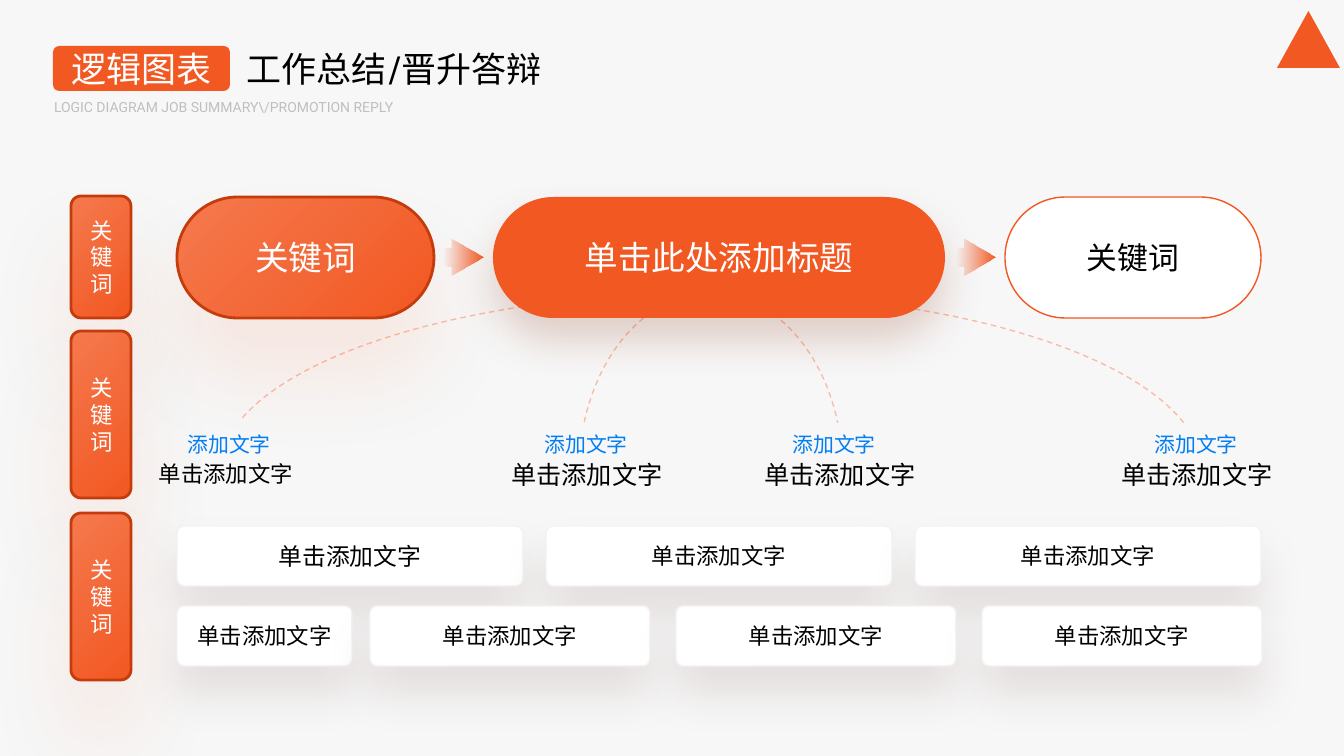
from lxml import etree
from pptx import Presentation
from pptx.dml.color import RGBColor
from pptx.enum.dml import MSO_LINE
from pptx.enum.shapes import MSO_SHAPE as SHAPE
from pptx.enum.text import MSO_ANCHOR as ANCHOR, PP_ALIGN as ALIGN
from pptx.oxml.ns import qn
from pptx.util import Emu, Pt

ORANGE, PEACH, RIM, ARC = "F25822", "F5794E", "C43C0C", "FABCA7"
WHITE, BLACK, BLUE, GREY = "FFFFFF", "000000", "037EF3", "BFBFBF"
CARD_EDGE, BACKGROUND = "F2F2F2", "F7F7F7"
EMU_PER_PX = 914400 / 100.8

# colour, opacity %, blur pt, distance pt
GLOW = (ORANGE, 10, 60, 41)
PILL_SHADOW = ("822808", 20, 30, 16)
CARD_SHADOW = ("450707", 10, 32, 20)


def px(length):
    return Emu(round(length * EMU_PER_PX))


def rgb(colour):
    return RGBColor.from_string(colour)


def add_alpha(colour_node, percent):
    etree.SubElement(colour_node, qn("a:alpha"), val=str(percent * 1000))


class SlideBuilder:
    font = "Karla"

    def __init__(self, slide):
        self.slide = slide
        background = slide.background.fill
        background.solid()
        background.fore_color.rgb = rgb(BACKGROUND)

    def shape(self, kind, box, fill=None, line=None, line_width=1,
              adjust=(), shadow=None):
        shape = self.slide.shapes.add_shape(kind, *map(px, box))
        for index, value in enumerate(adjust):
            shape.adjustments[index] = value
        if fill:
            shape.fill.solid()
            shape.fill.fore_color.rgb = rgb(fill)
        else:
            shape.fill.background()
        if line:
            shape.line.color.rgb = rgb(line)
            shape.line.width = Pt(line_width)
        else:
            shape.line.fill.background()
        shape.shadow.inherit = False
        if shadow:
            self.cast_shadow(shape, *shadow)
        return shape

    def cast_shadow(self, shape, colour, opacity, blur, distance):
        effects = shape._element.spPr.find(qn("a:effectLst"))
        outer = etree.SubElement(
            effects, qn("a:outerShdw"), blurRad=str(Pt(blur)),
            dist=str(Pt(distance)), dir="5400000", algn="t", rotWithShape="0")
        add_alpha(etree.SubElement(outer, qn("a:srgbClr"), val=colour), opacity)

    def gradient(self, shape, start, end, angle):
        """Fill along a clockwise angle in degrees."""
        shape.fill.gradient()
        shape.fill.gradient_angle = (360 - angle) % 360
        for stop, colour in zip(shape.fill.gradient_stops, (start, end)):
            stop.color.rgb = rgb(colour)

    def gradient_button(self, box, label, size, adjust=(), side_margin=0):
        button = self.shape(SHAPE.ROUNDED_RECTANGLE, box, ORANGE, RIM, 2,
                            adjust, GLOW)
        self.gradient(button, PEACH, ORANGE, 45)
        self.label(button, label, size, WHITE, side_margin=side_margin)

    def fading_arrow(self, box):
        arrow = self.shape(SHAPE.RIGHT_ARROW, box, adjust=(0.5, 0.84))
        self.gradient(arrow, ORANGE, ORANGE, 0)
        add_alpha(arrow._element.spPr.find(".//" + qn("a:srgbClr")), 0)

    def dashed_arc(self, box, adjust):
        arc = self.shape(SHAPE.ARC, box, line=ARC, adjust=adjust)
        arc.line.dash_style = MSO_LINE.DASH

    def card(self, box, label, size=16):
        card = self.shape(SHAPE.ROUNDED_RECTANGLE, box, WHITE, CARD_EDGE, 1,
                          (0.12,), CARD_SHADOW)
        self.label(card, label, size, BLACK)

    def text(self, box, label, size, colour, align=ALIGN.CENTER, font=None):
        holder = self.slide.shapes.add_textbox(*map(px, box))
        self.label(holder, label, size, colour, align, font)

    def label(self, shape, label, size, colour, align=ALIGN.CENTER, font=None,
              side_margin=0):
        frame = shape.text_frame
        frame.word_wrap = True
        frame.vertical_anchor = ANCHOR.MIDDLE
        frame.margin_left = frame.margin_right = px(side_margin)
        frame.margin_top = frame.margin_bottom = 0
        frame.text = label
        paragraph = frame.paragraphs[0]
        paragraph.alignment = align
        for run in paragraph.runs:
            run.font.name = font or self.font
            run.font.size = Pt(size)
            run.font.color.rgb = rgb(colour)
            etree.SubElement(run._r.rPr, qn("a:ea"),
                             typeface=font or self.font)


def add_header(page):
    page.shape(SHAPE.ISOSCELES_TRIANGLE, (1277, 11, 63, 57), ORANGE)
    page.text((54, 98, 488, 17), "LOGIC DIAGRAM JOB SUMMARY\\/PROMOTION REPLY",
              10, GREY, ALIGN.LEFT, "Roboto")
    badge = page.shape(SHAPE.ROUNDED_RECTANGLE, (53, 46, 177, 45), ORANGE,
                       adjust=(0.14,))
    page.label(badge, "逻辑图表", 25, WHITE)
    page.text((247, 43, 320, 52), "工作总结/晋升答辩", 25, BLACK, ALIGN.LEFT)


def add_side_labels(page):
    for top, height in ((196, 122), (331, 167), (513, 167)):
        page.gradient_button((71, top, 60, height), "关键词", 16,
                             side_margin=17)


def add_flow(page):
    top, height, rounded = 197, 121, (0.5,)
    page.gradient_button((177, top, 257, height), "关键词", 24, rounded)
    topic = page.shape(SHAPE.ROUNDED_RECTANGLE, (493, top, 452, height),
                       ORANGE, adjust=rounded, shadow=PILL_SHADOW)
    page.label(topic, "单击此处添加标题", 24, WHITE)
    outcome = page.shape(SHAPE.ROUNDED_RECTANGLE, (1005, top, 256, height),
                         WHITE, ORANGE, adjust=rounded)
    page.label(outcome, "关键词", 22, BLACK)
    for left in (444, 956):
        page.fading_arrow((left, 239, 39, 37))


def add_branches(page):
    # heading centre, detail centre, detail size
    for heading, detail, size in ((229, 226, 16), (586, 587, 18),
                                  (834, 840, 18), (1196, 1197, 18)):
        page.text((heading - 52, 426, 104, 36), "添加文字", 14.9, BLUE)
        page.text((detail - 86, 455, 172, 38), "单击添加文字", size, BLACK)


def add_cards(page):
    label, height = "单击添加文字", 60
    for column in range(3):
        page.card((177 + 369 * column, 526, 346, height), label,
                  16 if column else 17)
    page.card((177, 606, 175, height), label)
    for column in range(3):
        page.card((370 + 306 * column, 606, 280, height), label)


def main():
    deck = Presentation()
    deck.slide_width, deck.slide_height = px(1344), px(756)
    page = SlideBuilder(deck.slides.add_slide(deck.slide_layouts[6]))
    add_header(page)
    page.dashed_arc((579, 293, 264, 359), (120.97, 203.16))
    page.dashed_arc((219, 293, 984, 359), (112, 212.52))
    add_side_labels(page)
    add_flow(page)
    add_cards(page)
    add_branches(page)
    deck.save("out.pptx")


if __name__ == "__main__":
    main()
